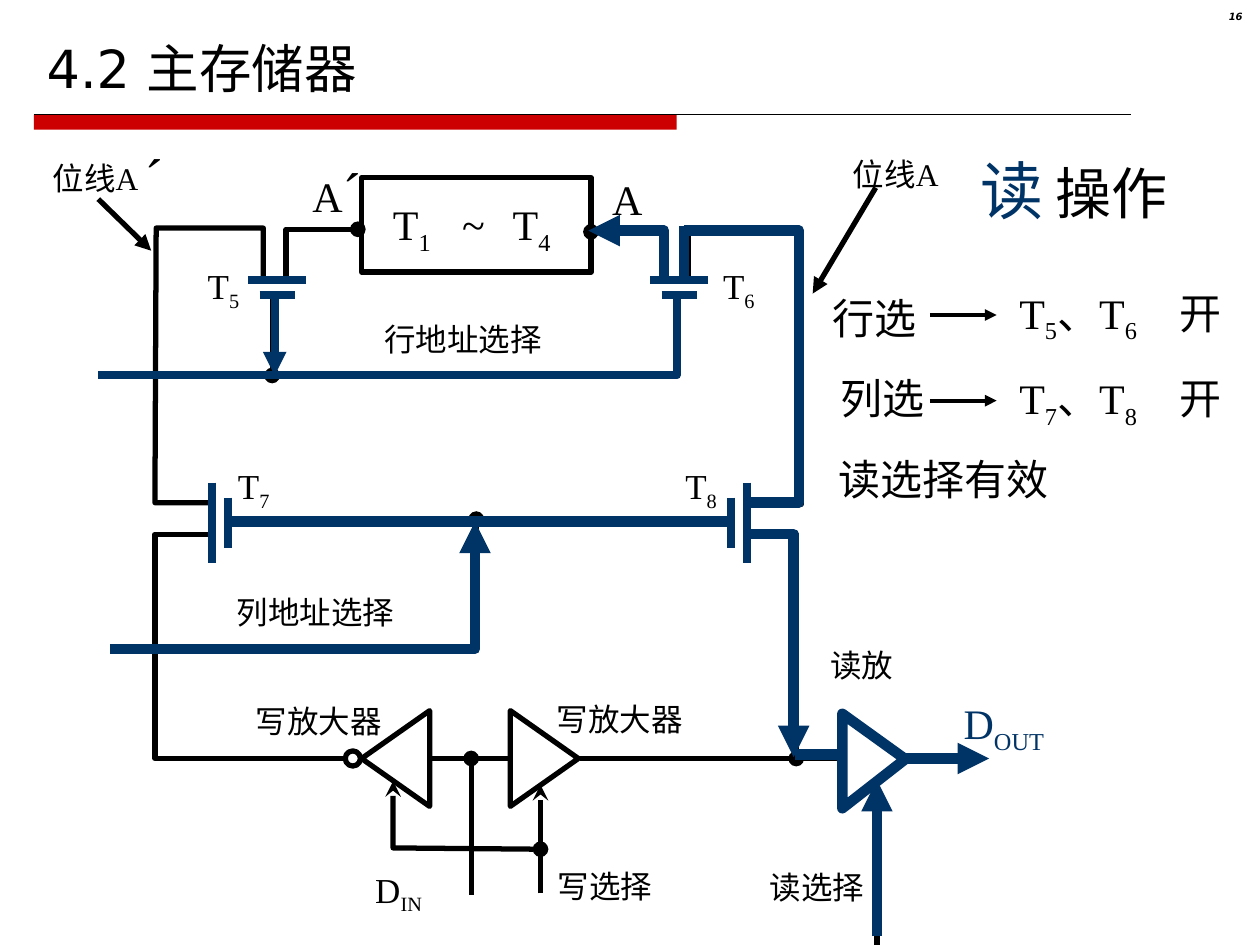
from dataclasses import dataclass

from lxml.etree import SubElement
from pptx import Presentation
from pptx.dml.color import RGBColor
from pptx.enum.shapes import MSO_CONNECTOR, MSO_SHAPE
from pptx.enum.text import MSO_ANCHOR, PP_ALIGN
from pptx.oxml.ns import qn
from pptx.util import Inches, Pt

BLACK = RGBColor(0, 0, 0)
NAVY = RGBColor(0x00, 0x33, 0x66)
RED = RGBColor(0xCC, 0, 0)
SERIF = "Times New Roman"
SANS = "DejaVu Sans"


@dataclass
class Region:
    """Part of a page; lengths are inches from its left top corner."""
    page: object
    left: float
    top: float
    color: RGBColor = BLACK
    weight: float = 3

    def place(self, x, y):
        return Inches(self.left + x), Inches(self.top + y)

    def wire(self, *points, head=None, tail=None, weight=None):
        spots = [self.place(*point) for point in points]
        shapes = self.page.shapes
        if len(spots) == 2:
            wire = shapes.add_connector(MSO_CONNECTOR.STRAIGHT, *spots[0], *spots[1])
        else:
            builder = shapes.build_freeform(*spots[0])
            builder.add_line_segments(spots[1:], close=False)
            wire = builder.convert_to_shape()
            wire.fill.background()
        wire.line.color.rgb = self.color
        wire.line.width = Pt(weight or self.weight)
        properties = wire._element.spPr
        outline = properties.find(qn("a:ln"))
        SubElement(outline, qn("a:round"))
        for tag, kind in (("a:headEnd", head), ("a:tailEnd", tail)):
            if kind:
                SubElement(outline, qn(tag), type=kind)
        SubElement(properties, qn("a:effectLst"))

    def outline(self, kind, x, y, width, height, rotation=0):
        shape = self.page.shapes.add_shape(
            kind, *self.place(x, y), Inches(width), Inches(height))
        shape.rotation = rotation
        shape.shadow.inherit = False
        shape.fill.background()
        shape.line.color.rgb = self.color
        shape.line.width = Pt(self.weight)
        return shape

    def label(self, text, x, y, width, height, size=18, wrap=False, inset=0.1, tabs=()):
        """Write text, in which every second piece between bars is a subscript."""
        box = self.page.shapes.add_textbox(
            *self.place(x, y), Inches(width), Inches(height))
        frame = box.text_frame
        frame.word_wrap = wrap
        frame.margin_left = frame.margin_right = Inches(inset)
        para = frame.paragraphs[0]
        if tabs:
            stops = SubElement(para._p.get_or_add_pPr(), qn("a:tabLst"))
            for stop in tabs:
                SubElement(stops, qn("a:tab"), pos=str(Inches(stop)), algn="l")
        para.font.name = SERIF
        para.font.size = Pt(size)
        para.font.color.rgb = self.color
        for index, piece in enumerate(text.split("|")):
            if piece:
                span = para.add_run()
                span.text = piece
                if index % 2:
                    span._r.get_or_add_rPr().set("baseline", "-25000")
        return para


def add_heading(page, left, top):
    # Title
    title = page.shapes.title
    title.left, title.top = Inches(left), Inches(top)
    title.width, title.height = Inches(9.45), Inches(0.71)
    frame = title.text_frame
    frame.text = "4.2 主存储器"
    frame.vertical_anchor = MSO_ANCHOR.BOTTOM
    para = frame.paragraphs[0]
    para.alignment = PP_ALIGN.LEFT
    para.font.name = SANS
    para.font.size = Pt(30)
    para.font.color.rgb = BLACK

    # Rule with a thick red start
    region = Region(page, left, top)
    bar = region.outline(MSO_SHAPE.RECTANGLE, 0, 0.78, 5.1, 0.12)
    bar.fill.solid()
    bar.fill.fore_color.rgb = RED
    bar.line.fill.background()
    region.wire((0, 0.78), (8.71, 0.78), weight=0.75)

    # Page number
    number = region.label("16", 9.1, -0.08, 0.59, 0.23, 5.7, wrap=True)
    number.alignment = PP_ALIGN.RIGHT
    number.line_spacing = 0.8
    number.font.name = SANS
    number.font.bold = number.font.italic = True


def add_circuit(page, left, top):
    region = Region(page, left, top)
    wire, label, outline = region.wire, region.label, region.outline

    # Storage cell
    accent = label("A", 2.38, 0.19, 0.59, 0.64, 24).add_run()
    accent.text = "´"
    accent.font.size = Pt(32)
    outline(MSO_SHAPE.RECTANGLE, 2.87, 0.41, 1.82, 0.75)
    label("T|1|\t~\tT|4", 3.02, 0.53, 1.98, 0.63, 24, wrap=True, tabs=(0.55, 0.95))
    label("A", 4.76, 0.33, 0.44, 0.5, 24)

    # Bit lines and column line
    wire((4.69, 0.84), (5.28, 0.84), (5.28, 1.21), head="oval")
    wire((2.84, 0.82), (2.27, 0.82), (2.27, 1.22), head="oval")
    wire((2.09, 1.21), (2.09, 0.81), (1.24, 0.81), (1.23, 2.99), (1.69, 2.99))
    wire((5.46, 1.22), (5.46, 0.84), (6.36, 0.84), (6.36, 3), (5.94, 3))
    wire((1.69, 3.24), (1.23, 3.24), (1.23, 5.02), (2.73, 5.02))
    wire((5.96, 3.24), (6.32, 3.24), (6.32, 5.02), tail="oval")
    wire((1.84, 3.12), (5.79, 3.12))
    wire((3.78, 3.12), (3.78, 4.13), (0.87, 4.13), head="oval")
    wire((2.16, 1.35), (2.16, 1.98), tail="oval")

    # Write amplifiers
    for x, rotation in ((3.94, 90), (2.76, 270)):
        outline(MSO_SHAPE.ISOSCELES_TRIANGLE, x, 4.75, 0.76, 0.54, rotation)
    outline(MSO_SHAPE.OVAL, 2.74, 4.96, 0.12, 0.12)
    wire((4.6, 5.02), (6.68, 5.02))
    wire((3.41, 5.02), (4.05, 5.02))
    wire((3.74, 5.02), (3.74, 6.1), head="oval")
    wire((4.29, 6.09), (4.29, 5.23), tail="stealth")
    wire((3.12, 5.2), (3.12, 5.73), (4.29, 5.74), head="stealth", tail="oval")
    wire((6.96, 6.5), (6.96, 5.23), tail="stealth")

    # Transistor names
    for name, x, y in (("T|5", 1.55, 1.05), ("T|6", 5.64, 1.05),
                       ("T|7", 1.79, 2.64), ("T|8", 5.34, 2.64)):
        label(name, x, y, 0.45, 0.48, 20)

    # Signal names
    for text, x, y, width in (
            ("写放大器", 1.93, 4.52, 1.2), ("写放大器", 4.32, 4.51, 1.2),
            ("写选择", 4.33, 5.83, 0.95), ("读选择", 6.01, 5.84, 0.95),
            ("读放", 6.49, 4.08, 0.7), ("位线A", 6.67, 0.18, 0.94),
            ("位线A", 0.32, 0.21, 0.94), ("列地址选择", 1.78, 3.66, 1.45),
            ("行地址选择", 2.95, 1.49, 1.45)):
        label(text, x, y, width, 0.4)
    label("´", 1.05, 0.08, 0.35, 0.64, 32)
    label("D|IN", 2.88, 5.84, 0.57, 0.48, 20)
    wire((6.95, 0.49), (6.45, 1.33), tail="triangle")
    wire((0.78, 0.58), (1.2, 0.99), tail="triangle")


def add_read_route(page, left, top):
    thick = Region(page, left, top, NAVY, 6)
    thin = Region(page, left, top, NAVY, 4.5)

    # Column selection
    thick.wire((3.77, 3.14), (3.77, 4.15), (0.87, 4.15), head="triangle")
    thick.wire((1.81, 3.14), (5.79, 3.14))

    # Row selection
    thin.wire((5.37, 1.35), (5.37, 1.98), (0.78, 1.98))
    thin.wire((2.18, 1.35), (2.18, 1.98), tail="triangle")

    # Transistor plates: T5 and T6 lie flat, T7 and T8 stand
    for x in (2.2, 5.39):
        for half, y in ((0.23, 1.22), (0.14, 1.34)):
            thin.wire((x - half, y), (x + half, y))
    for x, half in ((1.68, 0.32), (1.81, 0.2), (5.93, 0.32), (5.8, 0.2)):
        thin.wire((x, 3.15 - half), (x, 3.15 + half))

    # Data path from the cell to the output
    thick.wire((4.67, 0.83), (5.27, 0.83), (5.27, 1.21), head="triangle")
    thick.wire((5.43, 1.2), (5.43, 0.79))
    thick.wire((5.43, 0.83), (6.34, 0.83), (6.34, 2.99), (5.91, 2.99))
    thick.wire((5.93, 3.24), (6.3, 3.24), (6.3, 5.01), tail="triangle")
    thick.wire((6.31, 4.99), (6.7, 4.99))
    thick.wire((6.96, 6.43), (6.96, 5.19), tail="triangle")
    amplifier = thick.outline(MSO_SHAPE.ISOSCELES_TRIANGLE, 6.56, 4.79, 0.75, 0.5, 90)
    amplifier.adjustments[0] = 0.48
    thick.wire((7.16, 5.02), (7.85, 5.02), tail="triangle")
    thick.label("D|OUT", 7.55, 4.49, 0.84, 0.56, 24)


def add_notes(page, left, top):
    region = Region(page, left, top, weight=2.25)
    # Heading
    heading = region.label("读| |操作", 1.18, 0.15, 2.18, 0.7, 32, wrap=True)
    verb, gap, _ = heading.runs
    verb.font.size = Pt(36)
    verb.font.color.rgb = NAVY
    gap._r.get_or_add_rPr().set("baseline", "0")

    # Selections and the transistors they open
    for word, x, word_y, y, names in (
            ("行选", 0.09, 1.27, 1.23, "T|5|、T|6|\t开"),
            ("列选", 0.15, 1.91, 1.91, "T|7|、T|8|\t开")):
        region.label(word, x, word_y, 0.83, 0.5, 24, wrap=True, inset=0.02)
        region.wire((0.88, y + 0.27), (1.41, y + 0.27), tail="triangle")
        region.label(names, 1.57, y, 1.93, 0.56, 24, wrap=True, inset=0.02, tabs=(1.27,))
    region.label("读选择有效", 0.06, 2.55, 2.91, 0.5, 24, wrap=True)


def main():
    deck = Presentation()
    deck.slide_width, deck.slide_height = Inches(10), Inches(7.5)
    page = deck.slides.add_slide(deck.slide_layouts[5])
    add_heading(page, 0.27, 0.13)
    add_circuit(page, 0, 1)
    add_read_route(page, 0, 1)
    add_notes(page, 6.5, 1)
    deck.save("out.pptx")


if __name__ == "__main__":
    main()
